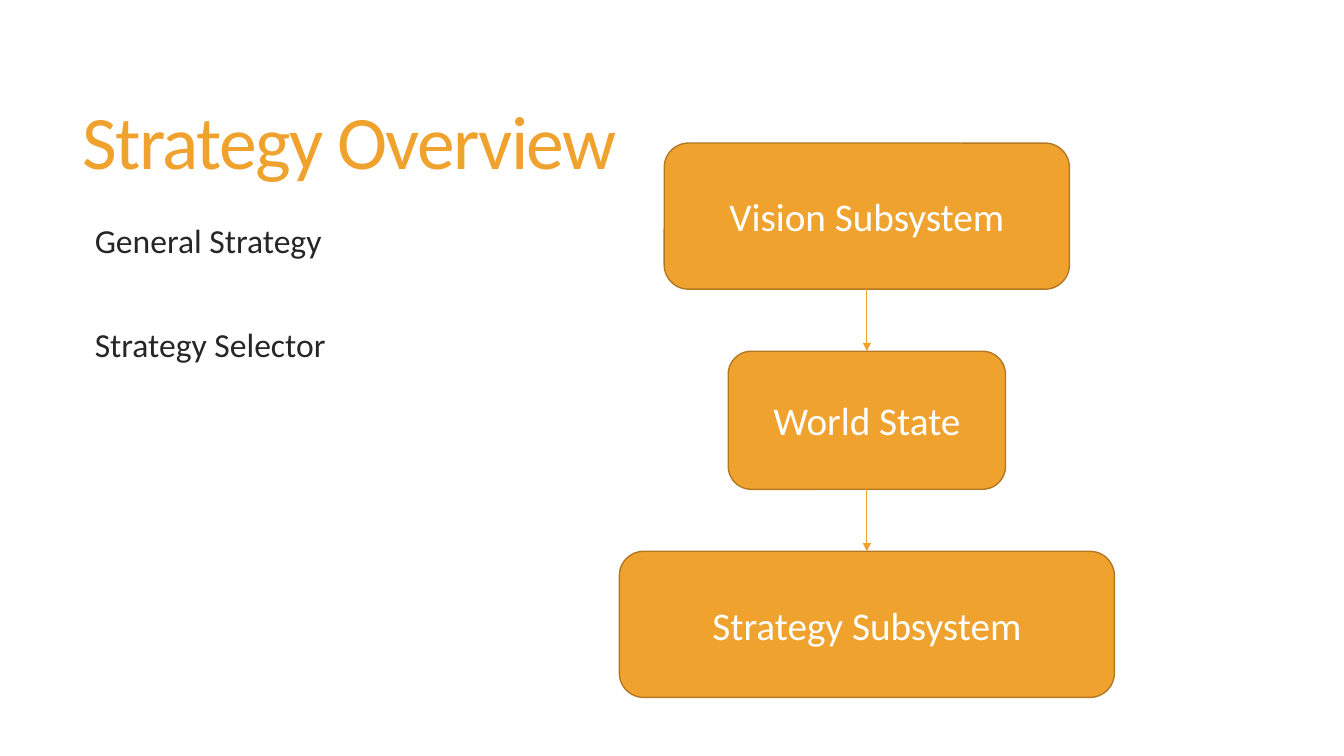
from lxml.etree import SubElement
from pptx import Presentation
from pptx.dml.color import RGBColor
from pptx.enum.shapes import MSO_CONNECTOR as Connector, MSO_SHAPE as Shape
from pptx.enum.text import MSO_ANCHOR as Anchor, MSO_AUTO_SIZE as AutoSize, PP_ALIGN as Align
from pptx.oxml.ns import qn
from pptx.util import Inches, Pt

AMBER = RGBColor(0xF0, 0xA2, 0x2E)
BROWN = RGBColor(0xB2, 0x78, 0x22)
INK = RGBColor(0x26, 0x26, 0x26)
WHITE = RGBColor(0xFF, 0xFF, 0xFF)
FONT = "Calibri"
BOTTOM, TOP = 2, 0
TITLE_ONLY = 5

AXIS = 64.5
GAP = 8.2
FIRST_TOP = 18.93
STAGES = [
    ("Vision Subsystem", 30.15, 19.33),
    ("World State", 20.63, 18.27),
    ("Strategy Subsystem", 36.83, 19.33),
]


class SlideBuilder:
    """Draws styled elements on one page, with lengths in percent of its size."""

    def __init__(self, deck):
        self.deck = deck
        self.page = deck.slides.add_slide(deck.slide_layouts[TITLE_ONLY])

    def area(self, left, top, width, height):
        """Turn percentages into slide lengths."""
        across, down = self.deck.slide_width / 100, self.deck.slide_height / 100
        return int(left * across), int(top * down), int(width * across), int(height * down)

    def style(self, para, size, color, align=Align.LEFT):
        """Format a paragraph and its runs."""
        para.alignment = align
        for span in para.runs:
            span.font.name = FONT
            span.font.size = Pt(size)
            span.font.color.rgb = color

    def title(self, text, *share):
        """Fill, move and format the title placeholder."""
        box = self.page.shapes.title
        box.left, box.top, box.width, box.height = self.area(*share)
        frame = box.text_frame
        frame.text = text
        frame.auto_size = AutoSize.NONE
        frame.vertical_anchor = Anchor.MIDDLE
        para = frame.paragraphs[0]
        para.line_spacing = 0.85
        self.style(para, 54, AMBER)
        para.runs[0]._r.get_or_add_rPr().set("spc", "-120")

    def topics(self, lines, *share):
        """Add a text box of widely spaced lines."""
        frame = self.page.shapes.add_textbox(*self.area(*share)).text_frame
        frame.word_wrap = True
        frame.margin_left = Inches(0.2)
        frame.text = "\n".join(lines)
        for index, para in enumerate(frame.paragraphs):
            para.line_spacing = 0.85
            para.space_before = Pt(50 if index else 0)
            self.style(para, 24, INK)

    def stage(self, text, *share):
        """Add a rounded box with a centred label."""
        box = self.page.shapes.add_shape(Shape.ROUNDED_RECTANGLE, *self.area(*share))
        box.shadow.inherit = False
        box.fill.solid()
        box.fill.fore_color.rgb = AMBER
        box.line.color.rgb = BROWN
        box.line.width = Pt(1)
        frame = box.text_frame
        frame.text = text
        frame.vertical_anchor = Anchor.MIDDLE
        self.style(frame.paragraphs[0], 28, WHITE, Align.CENTER)
        return box

    def arrow(self, upper, lower):
        """Join two boxes with a downward arrow."""
        link = self.page.shapes.add_connector(Connector.STRAIGHT, 0, 0, 0, 0)
        link.begin_connect(upper, BOTTOM)
        link.end_connect(lower, TOP)
        link.line.color.rgb = AMBER
        link.line.width = Pt(0.75)
        properties = link._element.spPr
        SubElement(properties.find(qn("a:ln")), qn("a:tailEnd"), type="triangle")
        SubElement(properties, qn("a:effectLst"))


def main():
    """Build and save the strategy overview."""
    deck = Presentation()
    deck.slide_width, deck.slide_height = Inches(13.33), Inches(7.5)
    builder = SlideBuilder(deck)
    builder.title("Strategy Overview", 5.4, 7.33, 88.35, 24.13)
    builder.topics(["General Strategy", "Strategy Selector"], 5.55, 29.2, 38.25, 54.93)
    boxes = []
    top = FIRST_TOP
    for text, width, height in STAGES:
        boxes.append(builder.stage(text, AXIS - width / 2, top, width, height))
        top += height + GAP
    for upper, lower in zip(boxes, boxes[1:]):
        builder.arrow(upper, lower)
    deck.save("out.pptx")


if __name__ == "__main__":
    main()
